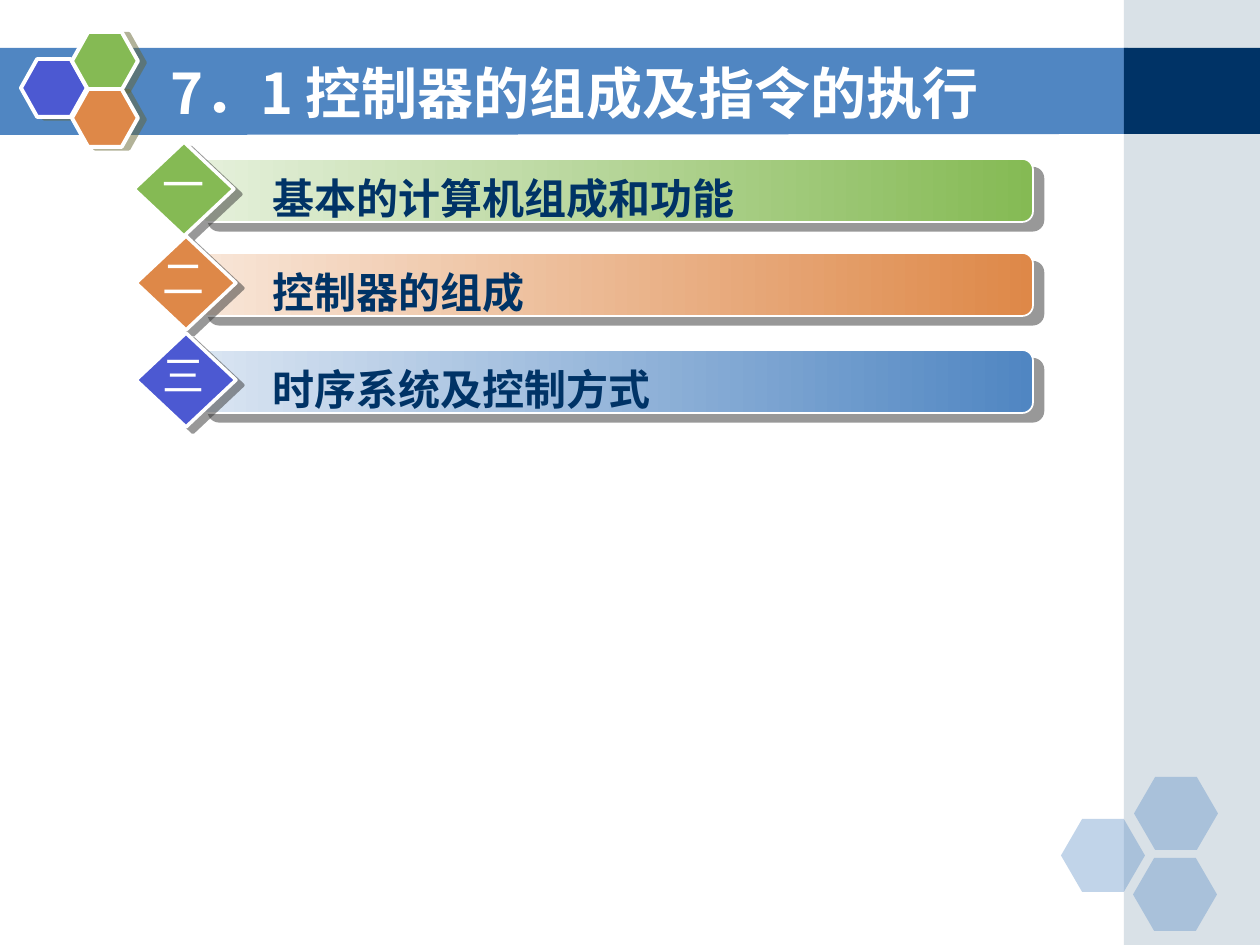
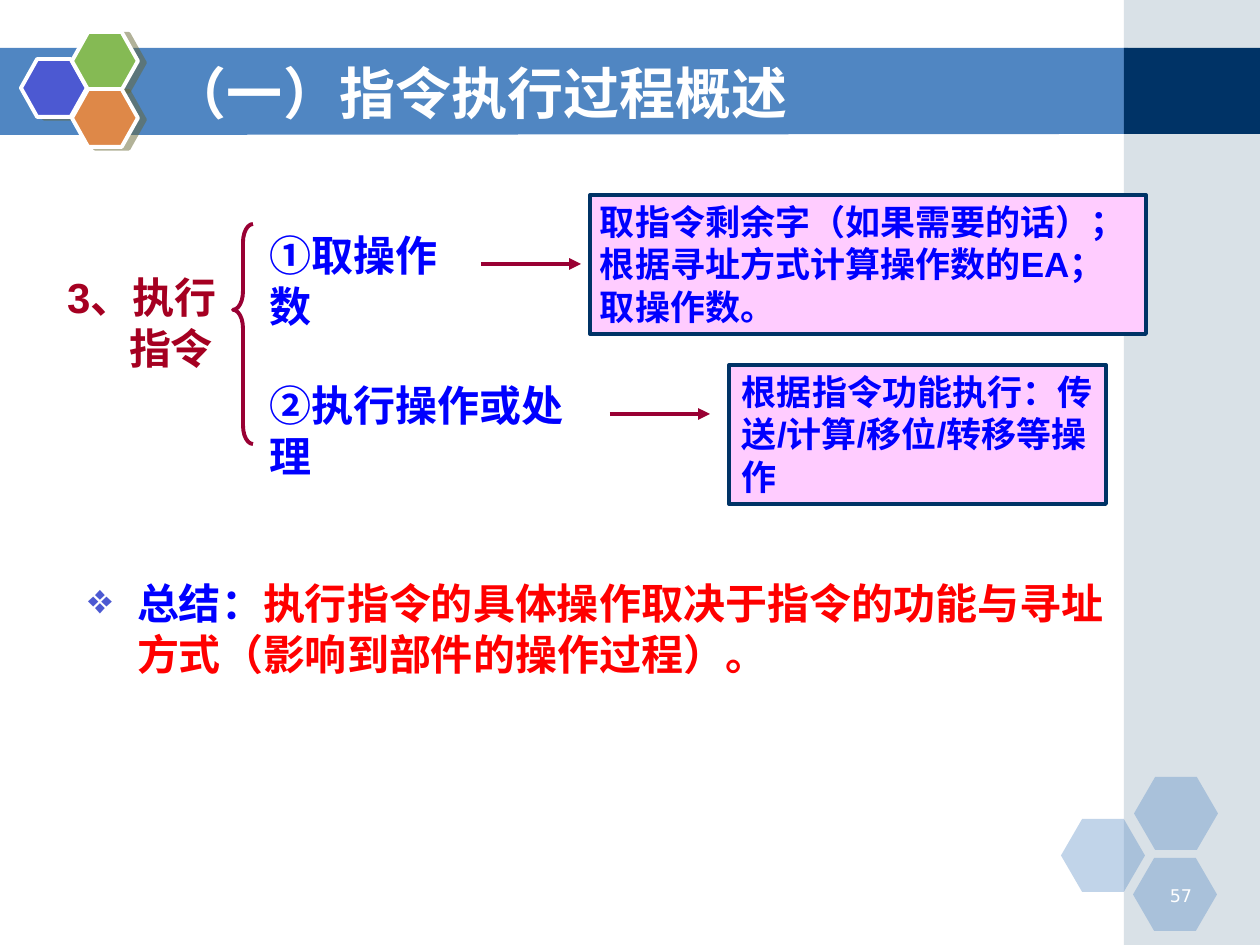
"""Build two slides on the controller and on how instructions are executed."""
from dataclasses import dataclass

from lxml import etree
from pptx import Presentation
from pptx.dml.color import RGBColor
from pptx.enum.shapes import MSO_CONNECTOR, MSO_SHAPE
from pptx.enum.text import MSO_ANCHOR, PP_ALIGN
from pptx.oxml.ns import qn
from pptx.util import Emu, Pt

RECTANGLE = MSO_SHAPE.RECTANGLE
ROUNDED = MSO_SHAPE.ROUNDED_RECTANGLE
HEXAGON = MSO_SHAPE.HEXAGON
DIAMOND = MSO_SHAPE.DIAMOND
BRACE = MSO_SHAPE.LEFT_BRACE
STRAIGHT = MSO_CONNECTOR.STRAIGHT
TOP, MIDDLE = MSO_ANCHOR.TOP, MSO_ANCHOR.MIDDLE
RIGHT = PP_ALIGN.RIGHT
EMU_PER_PX = 914400 / 126
CJK = "Noto Sans CJK SC"


@dataclass(frozen=True)
class Theme:
    """Colours and type sizes of the deck."""
    white: str = "FFFFFF"
    navy: str = "003366"
    blue: str = "5086C2"
    mist: str = "A0B5C4"
    indigo: str = "4C59D2"
    green: str = "85BA54"
    orange: str = "DE8848"
    pale_green: str = "E5F0DB"
    pale_orange: str = "F8E6D8"
    pale_blue: str = "DAE5F2"
    pink: str = "FFCCFF"
    ink: str = "0000FF"
    red: str = "FF0000"
    crimson: str = "A50021"
    maroon: str = "990033"
    logo_shadow: str = "666633"
    item_shadow: str = "333333"
    title: tuple = (CJK, 32, True)
    item: tuple = (CJK, 24, True)
    numeral: tuple = (CJK, 24, False)
    body: tuple = ("Arial", 24, True)
    note: tuple = ("Arial", 20, True)
    number: tuple = ("DejaVu Sans", 10, False)


THEME = Theme()


def px(length):
    """Turn px into EMU."""
    return Emu(round(length * EMU_PER_PX))


def rgb(color):
    """Read a hex colour."""
    return RGBColor.from_string(color)


def apply(target, formats):
    """Set every attribute named in a dict of format values."""
    for name, value in formats.items():
        setattr(target, name, value)


def add_child(parent, tag, **attributes):
    """Append a DrawingML element and return it."""
    return etree.SubElement(parent, qn(f"a:{tag}"), attributes)


def set_line(line, color, width):
    """Colour a line, or remove it when there is no colour."""
    if color:
        line.color.rgb = rgb(color)
        line.width = Pt(width)
    else:
        line.fill.background()


def set_opacity(shape, percent):
    """Make a solid fill partly transparent."""
    color = shape._element.spPr.find(f"{qn('a:solidFill')}/{qn('a:srgbClr')}")
    add_child(color, "alpha", val=str(percent * 1000))


def add_shadow(shape, color, distance, angle):
    """Cast a hard half-transparent shadow."""
    effects = shape._element.spPr.find(qn("a:effectLst"))
    outer = add_child(effects, "outerShdw", blurRad="0", dist=str(Pt(distance)),
                      dir=str(angle * 60000), algn="ctr", rotWithShape="0")
    add_child(add_child(outer, "srgbClr", val=color), "alpha", val="50000")


def add_figure(slide, kind, box, fill=None, line=None, width=1, adjust=()):
    """Add a preset shape; a pair of fill colours makes a gradient."""
    shape = slide.shapes.add_shape(kind, *map(px, box))
    shape.shadow.inherit = False
    for index, value in enumerate(adjust):
        shape.adjustments[index] = value
    if isinstance(fill, tuple):
        shape.fill.gradient()
        shape.fill.gradient_angle = 0
        for stop, color in zip(shape.fill.gradient_stops, fill):
            stop.color.rgb = rgb(color)
    elif fill:
        shape.fill.solid()
        shape.fill.fore_color.rgb = rgb(fill)
    else:
        shape.fill.background()
    set_line(shape.line, line, width)
    return shape


def write(shape, paragraphs, style, anchor=TOP, left=13, right=13, wrap=True):
    """Fill a shape with paragraphs, each a list of (text, colour) runs."""
    frame = shape.text_frame
    apply(frame, {"word_wrap": wrap, "vertical_anchor": anchor,
                  "margin_left": px(left), "margin_right": px(right),
                  "margin_top": px(6), "margin_bottom": px(6)})
    name, size, bold = style
    for index, runs in enumerate(paragraphs):
        paragraph = frame.add_paragraph() if index else frame.paragraphs[0]
        paragraph.alignment = PP_ALIGN.LEFT
        for text, color in runs:
            run = paragraph.add_run()
            run.text = text
            run.font.color.rgb = rgb(color)
            apply(run.font, {"name": name, "size": Pt(size), "bold": bold})
            add_child(run.font._element, "ea", typeface=CJK)
    return frame.paragraphs[0]


def add_text(slide, box, runs, style, **options):
    """Add a one-paragraph text box and return the paragraph."""
    return write(slide.shapes.add_textbox(*map(px, box)), [runs], style, **options)


def hang(paragraph, indent, bullet=None):
    """Give a paragraph a hanging indent and, if wanted, a bullet."""
    properties = paragraph._p.get_or_add_pPr()
    properties.set("marL", str(px(indent)))
    properties.set("indent", str(-px(indent)))
    if bullet:
        add_child(add_child(properties, "buClr"), "srgbClr", val=THEME.indigo)
        add_child(properties, "buChar", char=bullet)


def add_arrow(slide, left, y, length):
    """Draw a horizontal arrow pointing right."""
    arrow = slide.shapes.add_connector(
        STRAIGHT, px(left), px(y), px(left + length), px(y))
    set_line(arrow.line, THEME.maroon, 2.25)
    add_child(arrow.line._get_or_add_ln(), "tailEnd", type="triangle")
    add_child(arrow._element.spPr, "effectLst")


def add_band(slide):
    """Draw the title band, whose lower edge slopes slightly."""
    builder = slide.shapes.build_freeform(-1, 48, scale=EMU_PER_PX)
    builder.add_line_segments([(1128, 48), (1128, 134), (-1, 135)], close=True)
    band = builder.convert_to_shape()
    band.shadow.inherit = False
    band.fill.solid()
    band.fill.fore_color.rgb = rgb(THEME.blue)
    set_line(band.line, None, 0)


def add_base(deck, title):
    """Add a slide with the shared band, side strip, hexagons and title."""
    slide = deck.slides.add_slide(deck.slide_layouts[6])
    add_band(slide)
    strip = add_figure(slide, RECTANGLE, (1124, 0, 136, 945), THEME.mist)
    set_opacity(strip, 40)
    add_figure(slide, RECTANGLE, (1124, 48, 136, 86), THEME.navy)
    for left, top in ((1061, 819), (1134, 777), (1133, 858)):
        cell = add_figure(slide, HEXAGON, (left, top, 84, 73), THEME.blue,
                          adjust=(0.29,))
        set_opacity(cell, 35)
    for left, top, color in ((21, 59, THEME.indigo), (72, 32, THEME.green),
                             (72, 89, THEME.orange)):
        cell = add_figure(slide, HEXAGON, (left, top, 66, 58), color,
                          THEME.white, 2.25, (0.28,))
        add_shadow(cell, THEME.logo_shadow, 4.1, 14)
    add_text(slide, (158, 53, 924, 78), [(title, THEME.white)], THEME.title,
             anchor=MIDDLE)
    return slide


def add_item(slide, top, left, numeral, topic, pale, strong, badge):
    """Add an agenda row: gradient bar, topic, and a numbered diamond."""
    bar = add_figure(slide, ROUNDED, (198, top, 835, 63), (pale, strong),
                     THEME.white, 1, (0.17,))
    add_shadow(bar, THEME.item_shadow, 7.8, 40)
    add_text(slide, (241, top + 8, 660, 63), [(topic, THEME.navy)], THEME.item,
             left=32)
    diamond = add_figure(slide, DIAMOND, (left, top - 17, 100, 94), badge,
                         THEME.white, 2)
    add_shadow(diamond, THEME.item_shadow, 5, 37)
    add_text(slide, (149, top - 6, 67, 63), [(numeral, THEME.white)],
             THEME.numeral, wrap=False)


def add_note(slide, box, lines, **insets):
    """Add a pink explanation box."""
    note = add_figure(slide, RECTANGLE, box, THEME.pink, THEME.navy, 2.25)
    write(note, [[(line, THEME.ink)] for line in lines], THEME.note, **insets)


def build_agenda(deck):
    """Build the slide that lists the topics."""
    slide = add_base(deck, "7．1 控制器的组成及指令的执行")
    add_item(slide, 159, 134, "一", "基本的计算机组成和功能",
             THEME.pale_green, THEME.green, THEME.green)
    add_item(slide, 253, 136, "二", "控制器的组成",
             THEME.pale_orange, THEME.orange, THEME.orange)
    add_item(slide, 350, 136, "三", "时序系统及控制方式",
             THEME.pale_blue, THEME.blue, THEME.indigo)


def build_execution(deck):
    """Build the slide on the execution stage."""
    slide = add_base(deck, "（一）指令执行过程概述")
    number = add_text(slide, (1142, 879, 63, 32), [("57", THEME.white)],
                      THEME.number)
    number.alignment = RIGHT
    stage = add_text(slide, (54, 266, 198, 113), [("3、执行指令", THEME.crimson)],
                     THEME.body)
    hang(stage, 62)
    add_figure(slide, BRACE, (233, 224, 20, 220), line=THEME.maroon, width=2.25,
               adjust=(0.92, 0.39))
    for step, top, width in (("①取操作数", 224, 228),
                             ("②执行操作或处理", 374, 354)):
        add_text(slide, (257, top, width, 113), [(step, THEME.ink)], THEME.body)
    add_arrow(slide, 481, 264, 100)
    add_arrow(slide, 610, 414, 100)
    add_note(slide, (590, 195, 556, 139),
             ["取指令剩余字（如果需要的话）；", "根据寻址方式计算操作数的EA；",
              "取操作数。"], left=10, right=0)
    add_note(slide, (729, 365, 377, 139),
             ["根据指令功能执行：传送/计算/移位/转移等操作"])
    summary = add_text(
        slide, (75, 572, 1042, 113),
        [("总结：", THEME.ink),
         ("执行指令的具体操作取决于指令的功能与寻址方式（影响到部件的操作过程）。",
          THEME.red)], THEME.body)
    hang(summary, 49, "❖")


def main():
    """Build and save the deck."""
    deck = Presentation()
    apply(deck, {"slide_width": px(1260), "slide_height": px(945)})
    build_agenda(deck)
    build_execution(deck)
    deck.save("out.pptx")


if __name__ == "__main__":
    main()
